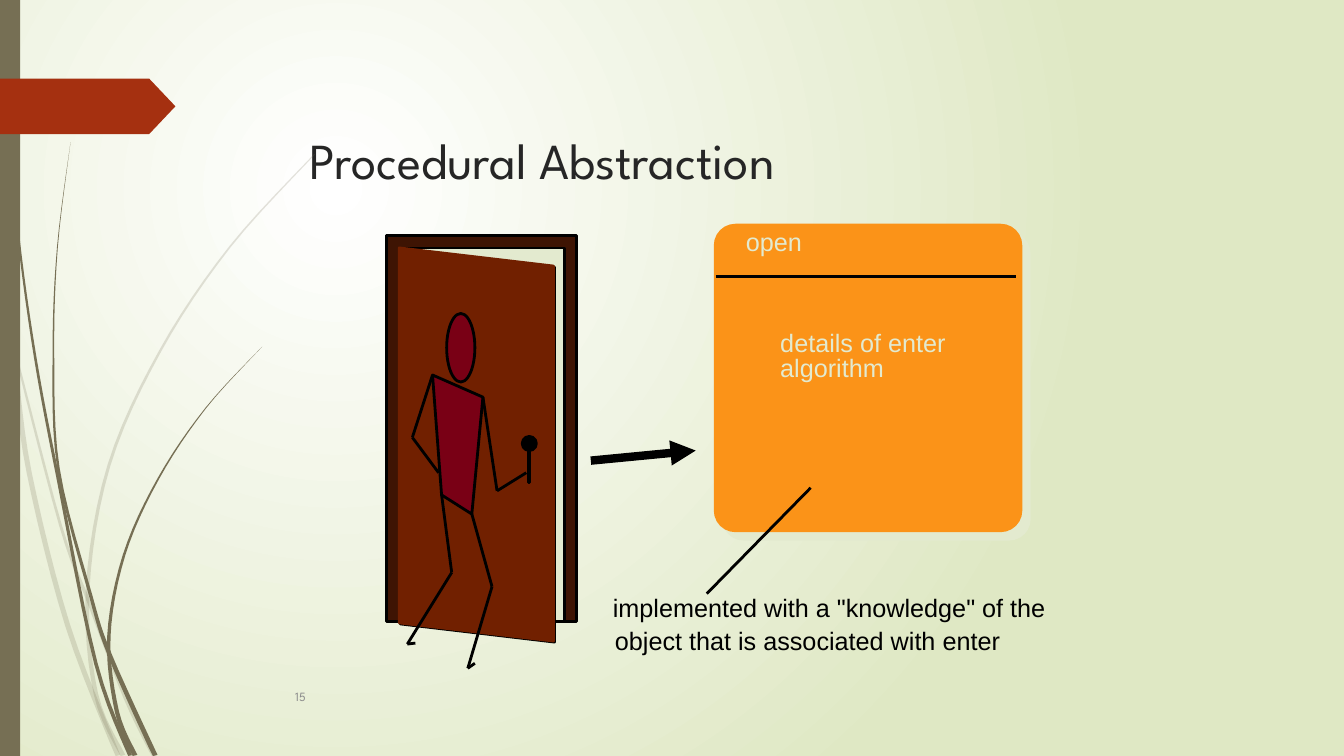
from itertools import pairwise
from math import hypot

from lxml.etree import SubElement
from pptx import Presentation
from pptx.dml.color import RGBColor
from pptx.enum.shapes import MSO_CONNECTOR, MSO_SHAPE
from pptx.enum.text import MSO_ANCHOR, MSO_AUTO_SIZE, PP_ALIGN
from pptx.oxml.ns import qn
from pptx.util import Pt

PX = 9144
FINE = 100
SLIDE_WIDTH, SLIDE_HEIGHT = 1333, 750
OLIVE, RUST, BLACK, CREAM = "766F54", "A53010", "000000", "E3EACF"
MAROON, WOOD, FRAME, ORANGE = "790015", "712000", "3E1403", "FB9318"


def color(code):
    return RGBColor.from_string(code)


def blade_outline(knots, tip_width, base_width, steps=6):
    padded = [knots[0], *knots, knots[-1]]
    spine = []
    for before, start, end, after in zip(padded, padded[1:], padded[2:], padded[3:]):
        for step in range(steps):
            t = step / steps
            spine.append([
                b + (c - a) * t / 2 + (2 * a - 5 * b + 4 * c - d) * t**2 / 2
                + (3 * b - a - 3 * c + d) * t**3 / 2
                for a, b, c, d in zip(before, start, end, after)
            ])
    spine.append(knots[-1])
    left_side, right_side = [], []
    for index, (x, y) in enumerate(spine):
        near, far = spine[max(index - 1, 0)], spine[min(index + 1, len(spine) - 1)]
        run, rise = far[0] - near[0], far[1] - near[1]
        width = tip_width + (base_width - tip_width) * index / (len(spine) - 1)
        reach = width / 2 / hypot(run, rise)
        for side, sign in ((left_side, -1), (right_side, 1)):
            side.append((x + sign * rise * reach,
                         min(max(y - sign * run * reach, 0), SLIDE_HEIGHT)))
    return left_side + right_side[::-1]


deck = Presentation()
deck.slide_width, deck.slide_height = SLIDE_WIDTH * PX, SLIDE_HEIGHT * PX
page = deck.slides.add_slide(deck.slide_layouts[5])

backdrop = page.background.fill
backdrop.gradient()
for stop, code in zip(backdrop.gradient_stops, ("FFFFFF", "DFE8C4")):
    stop.color.rgb = color(code)
gradient = page.element.find(".//" + qn("a:gradFill"))
gradient.remove(gradient.find(qn("a:lin")))
glow = SubElement(gradient, qn("a:path"), path="circle")
SubElement(glow, qn("a:fillToRect"), l="50000", t="50000", r="100000", b="100000")

pale_short = [(1, 290), (14, 360), (29, 469), (67, 620), (117, 750)]
pale_upright = [(14, 345), (60, 521), (90, 602), (125, 693), (153, 750)]
pale_arching = [(312, 153), (228, 245), (159, 348), (108, 462), (87, 584), (95, 688), (122, 750)]
dark_tall = [(4, 0), (8, 109), (18, 232), (35, 355), (58, 477), (95, 658), (129, 750)]
dark_upright = [(70, 141), (57, 245), (53, 349), (58, 465), (90, 591), (109, 650), (154, 750)]
dark_arching = [(260, 344), (204, 405), (157, 475), (123, 551), (108, 632), (116, 706), (134, 750)]
grass = [
    (pale_short, 5, 5, 20),
    (pale_upright, 2, 5, 20),
    (pale_arching, 1, 5, 20),
    (dark_tall, 1, 4, 100),
    (dark_upright, 0, 5, 100),
    (dark_arching, 0, 5, 100),
]

ribbon_top, ribbon_bottom, ribbon_shoulder, ribbon_tip = 78, 133, 148, 174
ribbon = [(0, ribbon_top), (ribbon_shoulder, ribbon_top),
          (ribbon_tip, (ribbon_top + ribbon_bottom) / 2),
          (ribbon_shoulder, ribbon_bottom), (0, ribbon_bottom)]

door_left, door_top, door_width, door_height, door_slant = 396, 246, 153, 372, 18
door_right = door_left + door_width
door_leaf = [(door_left, door_top), (door_right, door_top + door_slant),
             (door_right, door_top + door_slant + door_height),
             (door_left, door_top + door_height)]
door_edge = [(x + 1, y + 1) for x, y in door_leaf]

left_shoulder, right_shoulder = (429, 372), (479, 394)
left_hip, right_hip = (438, 491), (468, 510)
torso = [left_shoulder, right_shoulder, right_hip, left_hip]
limbs = {
    "left arm": [left_shoulder, (409, 434), (435, 469)],
    "right arm": [right_shoulder, (493, 487), (522, 469)],
    "left leg": [left_hip, (448, 568), (404, 639), (412, 638)],
    "right leg": [right_hip, (488, 582), (464, 663), (471, 658)],
}

OUTLINE = "outline"
parts = [
    (OUTLINE, blade_outline(knots, tip, base), OLIVE, None, opacity)
    for knots, tip, base, opacity in grass
]
parts += [
    (MSO_SHAPE.RECTANGLE, (0, 0, 20, SLIDE_HEIGHT), OLIVE, None, 100),
    (OUTLINE, ribbon, RUST, None, 100),
    (MSO_SHAPE.RECTANGLE, (383, 234, 189, 383), FRAME, BLACK, 100),
    (MSO_SHAPE.RECTANGLE, (396, 246, 164, 371), CREAM, BLACK, 100),
    (OUTLINE, door_edge, None, BLACK, 100),
    (OUTLINE, door_leaf, WOOD, WOOD, 100),
    (MSO_SHAPE.OVAL, (518, 433, 14, 14), BLACK, BLACK, 100),
    (MSO_SHAPE.RECTANGLE, (524, 446, 1, 33), BLACK, BLACK, 100),
    (MSO_SHAPE.OVAL, (443, 311, 28, 68), MAROON, BLACK, 100),
    (OUTLINE, torso, MAROON, BLACK, 100),
    (MSO_SHAPE.ROUNDED_RECTANGLE, (708, 222, 306, 306), ORANGE, None, 100),
]
for kind, geometry, fill, line, opacity in parts:
    if kind == OUTLINE:
        corners = [(x * FINE, y * FINE) for x, y in geometry]
        builder = page.shapes.build_freeform(*corners[0], scale=PX / FINE)
        builder.add_line_segments(corners[1:])
        shape = builder.convert_to_shape()
    else:
        shape = page.shapes.add_shape(kind, *(length * PX for length in geometry))
    shape.shadow.inherit = False
    if fill:
        shape.fill.solid()
        shape.fill.fore_color.rgb = color(fill)
    else:
        shape.fill.background()
    if line:
        shape.line.color.rgb = color(line)
        shape.line.width = Pt(2)
    else:
        shape.line.fill.background()
    if opacity < 100:
        tint = shape.element.spPr.find(".//" + qn("a:srgbClr"))
        SubElement(tint, qn("a:alpha"), val=str(opacity * 1000))
    if kind == MSO_SHAPE.ROUNDED_RECTANGLE:
        shape.adjustments[0] = 0.07
        effects = shape.element.spPr.find(qn("a:effectLst"))
        shadow = SubElement(effects, qn("a:outerShdw"), dist=str(Pt(8.5)), dir="2700000",
                            algn="ctr", rotWithShape="0")
        SubElement(shadow, qn("a:srgbClr"), val=CREAM)

card_rule = ((710, 274), (1008, 274))
callout = ((804, 484), (701, 589))
arrow = ((586, 457), (690, 447))
bones = [bone for joints in limbs.values() for bone in pairwise(joints)]
for start, end in [*bones, card_rule, callout, arrow]:
    stroke = page.shapes.add_connector(
        MSO_CONNECTOR.STRAIGHT, *(length * PX for length in start + end))
    stroke.line.color.rgb = color(BLACK)
    stroke.line.width = Pt(2)
    SubElement(stroke.element.spPr, qn("a:effectLst"))
stroke.line.width = Pt(6)
SubElement(stroke.element.spPr.find(qn("a:ln")), qn("a:tailEnd"), type="triangle")

title = page.shapes.title
title.left, title.top, title.width, title.height = 300 * PX, 125 * PX, 579 * PX, 66 * PX
title.text_frame.margin_left = title.text_frame.margin_right = 7 * PX
title.text_frame.margin_top = title.text_frame.margin_bottom = 3 * PX

labels = [
    ("open", (730, 220, 76, 40), CREAM),
    ("details of enter", (764, 320, 191, 40), CREAM),
    ("algorithm", (764, 345, 123, 40), CREAM),
    ('implemented with a "knowledge" of the', (598, 583, 463, 40), BLACK),
    ("object that is associated with enter", (600, 615, 402, 40), BLACK),
]
texts = [(title, "Procedural Abstraction", 36, "League Spartan", "262626")]
for words, place, ink in labels:
    label = page.shapes.add_textbox(*(length * PX for length in place))
    texts.append((label, words, 18, "Arial", ink))
page_number = page.shapes.add_textbox(283 * PX, 671 * PX, 833 * PX, 40 * PX)
texts.append((page_number, "15", 9, "League Spartan", "8C8C8C"))

for box, words, size, font, ink in texts:
    frame = box.text_frame
    frame.vertical_anchor = MSO_ANCHOR.MIDDLE if box is page_number else MSO_ANCHOR.TOP
    frame.word_wrap = box is page_number
    frame.auto_size = (MSO_AUTO_SIZE.NONE if box is page_number
                       else MSO_AUTO_SIZE.SHAPE_TO_FIT_TEXT)
    para = frame.paragraphs[0]
    para.alignment = PP_ALIGN.LEFT
    span = para.add_run()
    span.text = words
    span.font.size, span.font.name = Pt(size), font
    span.font.color.rgb = color(ink)

deck.save("out.pptx")
